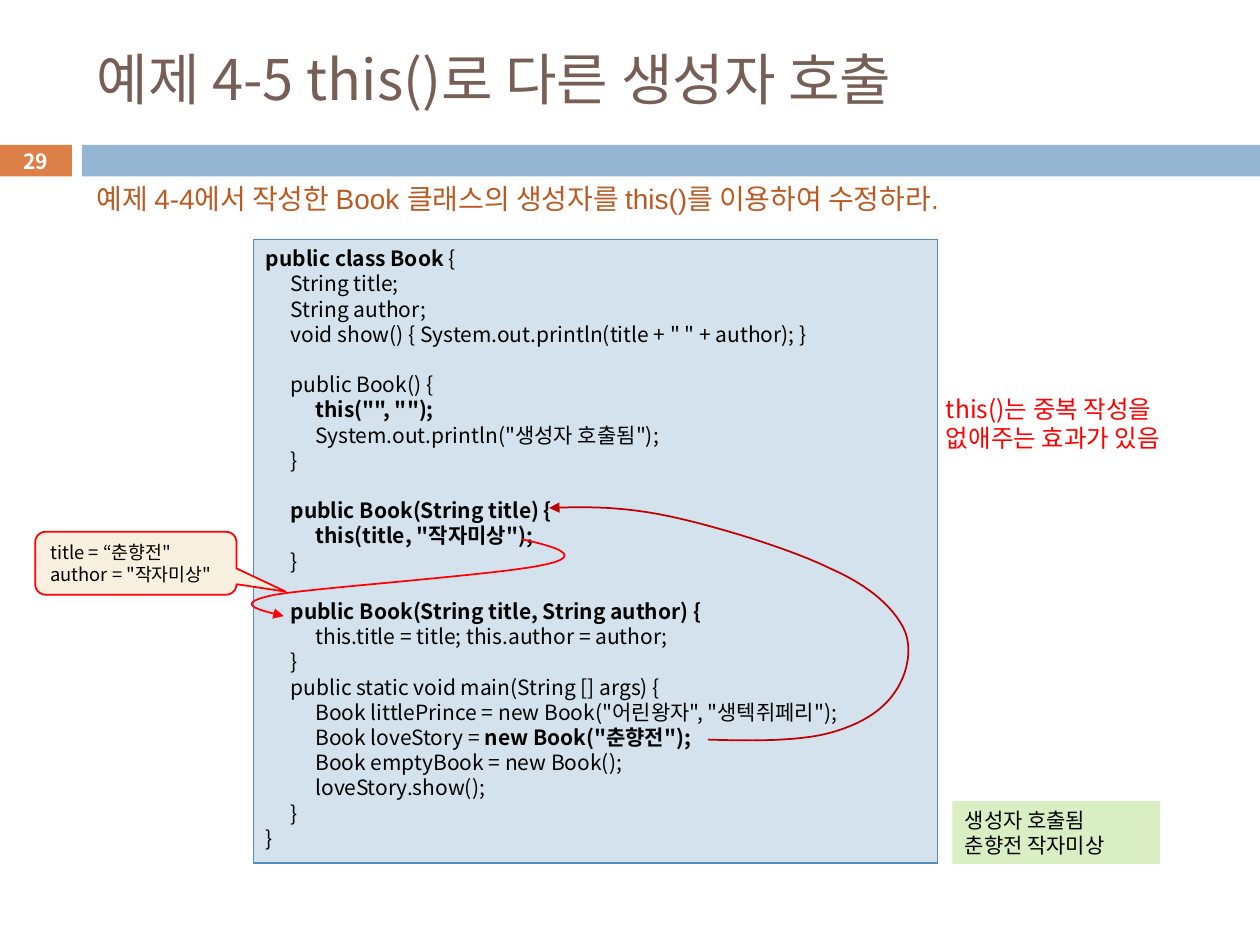
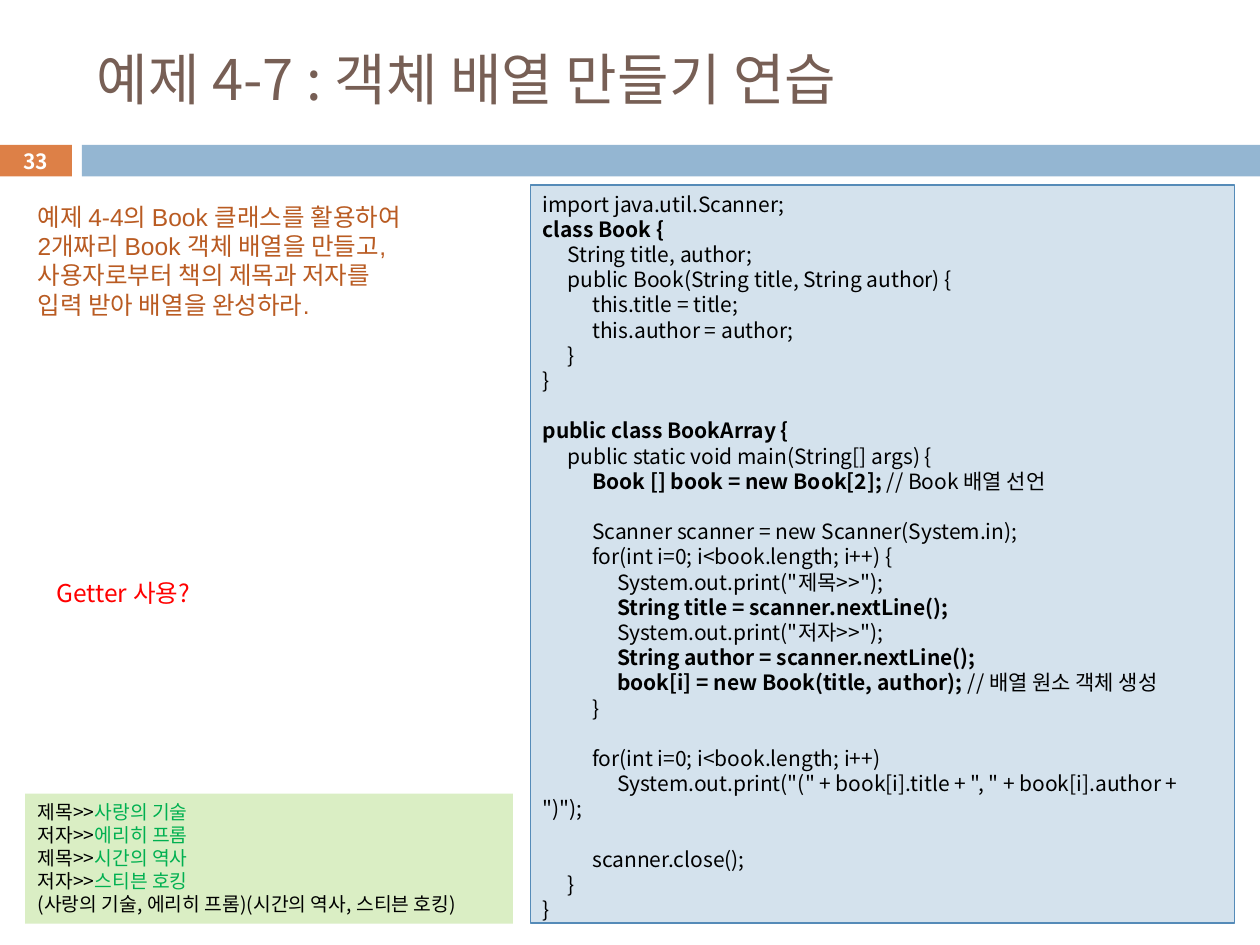
from pptx import Presentation
from pptx.dml.color import RGBColor
from pptx.enum.shapes import MSO_SHAPE
from pptx.enum.text import MSO_ANCHOR, PP_ALIGN
from pptx.oxml.ns import qn
from pptx.util import Cm, Pt
from lxml import etree

RECT = MSO_SHAPE.RECTANGLE
CALLOUT = MSO_SHAPE.ROUNDED_RECTANGULAR_CALLOUT
TOP, MIDDLE = MSO_ANCHOR.TOP, MSO_ANCHOR.MIDDLE
LEFT, CENTER = PP_ALIGN.LEFT, PP_ALIGN.CENTER

ORANGE = RGBColor(0xDD, 0x80, 0x47)
BAND_BLUE = RGBColor(0x94, 0xB6, 0xD2)
TITLE_BROWN = RGBColor(0x77, 0x5F, 0x55)
PROMPT_BROWN = RGBColor(0xB9, 0x5B, 0x22)
CODE_FILL = RGBColor(0xD4, 0xE2, 0xED)
CODE_LINE = RGBColor(0x55, 0x8B, 0xB8)
OUTPUT_FILL = RGBColor(0xDA, 0xEE, 0xC4)
CALLOUT_FILL = RGBColor(0xF7, 0xF0, 0xDE)
INPUT_GREEN = RGBColor(0x00, 0xB0, 0x50)
RED = RGBColor(0xFF, 0x00, 0x00)
DARK_RED = RGBColor(0xC0, 0x00, 0x00)
BLACK = RGBColor(0, 0, 0)
WHITE = RGBColor(0xFF, 0xFF, 0xFF)

SANS, ARIAL = "Noto Sans CJK KR", "Arial"
MARK = "**"
LINE_HEIGHT = 1.2
TAB_CM = 0.5
CURVE_STEPS = 12

CONSTRUCTOR_CODE = """\
**public class Book **{
\tString title;
\tString author;
\tvoid show() { System.out.println(title + " " + author); }

\tpublic Book() {
\t\t**this("", "");**
\t\tSystem.out.println("생성자 호출됨");
\t}

\t**public Book(String title) {**
\t\t**this(title, "작자미상");**
\t}

\t**public Book(String title, String author) {**
\t\tthis.title = title; this.author = author;
\t}
\tpublic static void main(String [] args) {
\t\tBook littlePrince = new Book("어린왕자", "생텍쥐페리");
\t\tBook loveStory = **new Book("춘향전");**
\t\tBook emptyBook = new Book();
\t\tloveStory.show();
\t}
}"""

ARRAY_CODE = """\
import java.util.Scanner;
**class Book {**
\tString title, author;
\tpublic Book(String title, String author) {
\t\tthis.title = title;
\t\tthis.author = author;
\t}
}

**public class BookArray {**
\tpublic static void main(String[] args) {
\t\t**Book [] book = new Book[2]; **// Book 배열 선언

\t\tScanner scanner = new Scanner(System.in);
\t\tfor(int i=0; i<book.length; i++) {
\t\t\tSystem.out.print("제목>>");
\t\t\t**String title = scanner.nextLine();**
\t\t\tSystem.out.print("저자>>");
\t\t\t**String author = scanner.nextLine();**
\t\t\t**book[i] = new Book(title, author); **// 배열 원소 객체 생성
\t\t}

\t\tfor(int i=0; i<book.length; i++)
\t\t\tSystem.out.print("(" + book[i].title + ", " + book[i].author + ")");

\t\tscanner.close();
\t}
}"""

# Bezier nodes in cm from the top left corner of the code panel
TO_TWO_ARGUMENTS = [
    (5.41, 6.04), (6.07, 6.19), (6.7, 6.37), (5.89, 6.55), (5.05, 6.75),
    (1.32, 7.01), (0.43, 7.16), (-0.44, 7.34), (0.07, 7.46), (0.61, 7.59)]
TO_ONE_ARGUMENT = [
    (9.16, 10.08), (10.08, 10.11), (10.99, 10.11), (11.6, 9.95), (12.24, 9.78),
    (12.67, 9.5), (12.92, 9.14), (13.18, 8.78), (13.31, 8.23), (13.1, 7.82),
    (12.87, 7.39), (12.42, 6.98), (11.63, 6.63), (10.84, 6.24), (9.37, 5.79),
    (8.4, 5.58), (7.46, 5.38), (6.73, 5.38), (5.96, 5.41)]


def add_tabs(p):
    tabs = etree.SubElement(p._p.get_or_add_pPr(), qn("a:tabLst"))
    for i in range(1, 5):
        etree.SubElement(tabs, qn("a:tab"), pos=str(Cm(TAB_CM * i)), algn="l")


def write(sp, text, size, color=BLACK, font=SANS, bold=False, accent=None,
          anchor=TOP, align=LEFT):
    """Fill sp line by line; marked parts take the accent colour, or bold."""
    tf = sp.text_frame
    tf.word_wrap = True
    tf.vertical_anchor = anchor
    pitch = size * LINE_HEIGHT
    gap = 0
    p = None
    for line in text.split("\n"):
        if not line:
            gap += pitch
            continue
        p = tf.add_paragraph() if p else tf.paragraphs[0]
        if "\t" in line:
            add_tabs(p)
        p.alignment = align
        p.line_spacing = Pt(pitch)
        p.space_before = Pt(gap)
        gap = 0
        for i, part in enumerate(line.split(MARK)):
            if not part:
                continue
            marked = i % 2 == 1
            r = p.add_run()
            r.text = part
            r.font.size = Pt(size)
            r.font.name = font
            r.font.bold = bold or (marked and accent is None)
            r.font.color.rgb = accent if marked and accent else color
            etree.SubElement(r.font._element, qn("a:ea"), typeface=SANS)


def add_box(s, box, fill, line=None, width=1, kind=RECT):
    sp = s.shapes.add_shape(kind, *map(Cm, box))
    sp.shadow.inherit = False
    sp.fill.solid()
    sp.fill.fore_color.rgb = fill
    if line is None:
        sp.line.fill.background()
    else:
        sp.line.color.rgb = line
        sp.line.width = Pt(width)
    return sp


def add_label(s, box, text, size, color, **style):
    write(s.shapes.add_textbox(*map(Cm, box)), text, size, color, **style)


def add_frame(prs, title, number):
    """Add a slide with its title, band and page number."""
    s = prs.slides.add_slide(prs.slide_layouts[6])
    tag = add_box(s, (-0.02, 2.92, 1.47, 0.64), ORANGE)
    tag.text_frame.margin_top = tag.text_frame.margin_bottom = 0
    write(tag, number, 12, WHITE, bold=True, anchor=MIDDLE, align=CENTER)
    add_box(s, (1.65, 2.92, 23.75, 0.64), BAND_BLUE)
    add_label(s, (1.7, 0.64, 22.66, 1.88), title, 32, TITLE_BROWN, anchor=MIDDLE)
    return s


def add_code(s, box, code):
    write(add_box(s, box, CODE_FILL, CODE_LINE, 0.75), code, 12)


def add_output(s, box, text, size):
    write(add_box(s, box, OUTPUT_FILL), text, size, accent=INPUT_GREEN)


def add_callout(s, box, text):
    sp = add_box(s, box, CALLOUT_FILL, RED, kind=CALLOUT)
    for i, value in enumerate((0.744, 0.451, 0.167)):
        sp.adjustments[i] = value
    write(sp, text, 10.5)


def bezier_points(nodes):
    points = [nodes[0]]
    for i in range(0, len(nodes) - 1, 3):
        for step in range(1, CURVE_STEPS + 1):
            t = step / CURVE_STEPS
            weights = ((1 - t) ** 3, 3 * t * (1 - t) ** 2, 3 * t * t * (1 - t), t ** 3)
            points.append(tuple(sum(w * node[axis] for w, node in zip(weights, nodes[i:i + 4]))
                                for axis in (0, 1)))
    return points


def add_call_arrow(s, box, nodes, color):
    left, top = box[:2]
    points = [(Cm(left + x), Cm(top + y)) for x, y in bezier_points(nodes)]
    builder = s.shapes.build_freeform(*points[0], scale=1.0)
    builder.add_line_segments(points[1:], close=False)
    sp = builder.convert_to_shape()
    sp.shadow.inherit = False
    sp.fill.background()
    sp.line.color.rgb = color
    sp.line.width = Pt(1)
    etree.SubElement(sp.line._get_or_add_ln(), qn("a:tailEnd"), type="triangle")


def constructor_slide(prs):
    s = add_frame(prs, "예제 4-5 this()로 다른 생성자 호출", "29")
    add_label(s, (1.7, 3.53, 21.74, 0.94),
              "예제 4-4에서 작성한 Book 클래스의 생성자를 this()를 이용하여 수정하라.",
              16, PROMPT_BROWN, font=ARIAL)
    code_box = (5.11, 4.83, 13.79, 12.57)
    add_code(s, code_box, CONSTRUCTOR_CODE)
    add_call_arrow(s, code_box, TO_TWO_ARGUMENTS, RED)
    add_callout(s, (0.71, 10.72, 4.06, 1.27), 'title = “춘향전"\nauthor = "작자미상"')
    add_call_arrow(s, code_box, TO_ONE_ARGUMENT, DARK_RED)
    add_output(s, (19.2, 16.15, 4.19, 1.27), "생성자 호출됨\n춘향전 작자미상", 12)
    add_label(s, (18.82, 7.82, 5.51, 1.45),
              "this()는 중복 작성을\n없애주는 효과가 있음", 14, RED)


def array_slide(prs):
    s = add_frame(prs, "예제 4-7 : 객체 배열 만들기 연습", "33")
    add_label(s, (0.51, 3.94, 9.8, 2.64),
              "예제 4-4의 Book 클래스를 활용하여\n2개짜리 Book 객체 배열을 만들고,\n"
              "사용자로부터 책의 제목과 저자를\n입력 받아 배열을 완성하라.",
              14, PROMPT_BROWN, font=ARIAL)
    add_output(s, (0.51, 16, 9.83, 2.62),
               "제목>>**사랑의 기술**\n저자>>**에리히 프롬**\n"
               "제목>>**시간의 역사**\n저자>>**스티븐 호킹**\n"
               "(사랑의 기술, 에리히 프롬)(시간의 역사, 스티븐 호킹)", 11)
    add_code(s, (10.69, 3.73, 14.2, 14.88), ARRAY_CODE)
    add_label(s, (0.89, 11.53, 3.33, 0.86), "Getter 사용?", 14, RED)


def main():
    prs = Presentation()
    prs.slide_width, prs.slide_height = Cm(25.4), Cm(19.05)
    constructor_slide(prs)
    array_slide(prs)
    prs.save("out.pptx")


if __name__ == "__main__":
    main()
